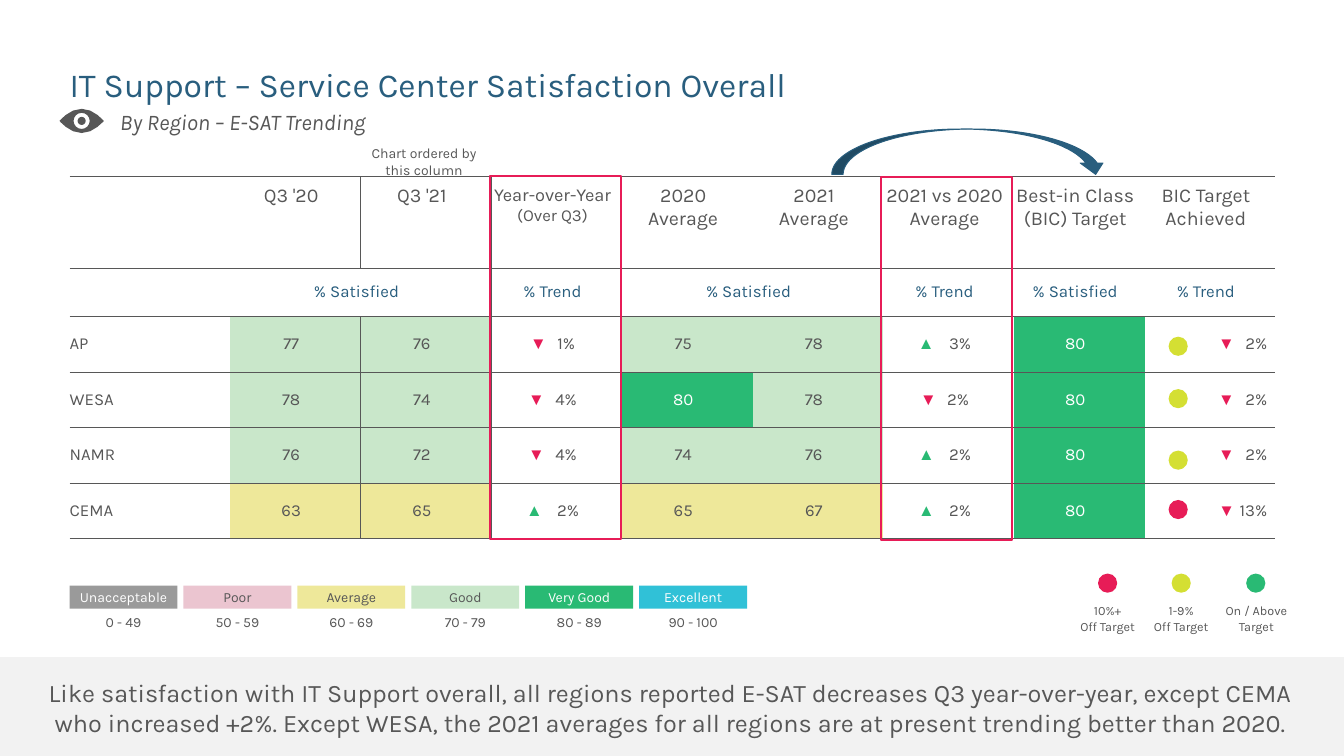
"""Build the regional service center satisfaction slide."""
from dataclasses import dataclass
from math import cos, pi, sin

from lxml import etree
from pptx import Presentation
from pptx.dml.color import RGBColor
from pptx.enum.shapes import MSO_SHAPE
from pptx.enum.text import MSO_ANCHOR, PP_ALIGN
from pptx.oxml.ns import qn
from pptx.shapes.autoshape import Shape
from pptx.slide import Slide
from pptx.table import Table, _Cell
from pptx.text.text import TextFrame, _Paragraph
from pptx.util import Inches, Pt

RECT, OVAL, ARROW = MSO_SHAPE.RECTANGLE, MSO_SHAPE.OVAL, MSO_SHAPE.CURVED_DOWN_ARROW
LEFT, CENTER, RIGHT = PP_ALIGN.LEFT, PP_ALIGN.CENTER, PP_ALIGN.RIGHT
TOP, MIDDLE = MSO_ANCHOR.TOP, MSO_ANCHOR.MIDDLE


@dataclass(frozen=True)
class Theme:
    font: str = "Karla"
    symbol_font: str = "Arial"
    ink: str = "575757"
    blue: str = "295E7E"
    white: str = "FFFFFF"
    panel: str = "F2F2F2"
    red: str = "E71C57"
    lime: str = "D4DF33"
    green: str = "29BA74"
    title: int = 24
    takeaway: int = 18
    subtitle: int = 16
    header: int = 14
    small_header: int = 13
    body: int = 12
    label: int = 10
    key: int = 9


@dataclass(frozen=True)
class Band:
    name: str
    low: int
    high: int
    fill: str
    ink: str = "575757"


@dataclass(frozen=True)
class Region:
    name: str
    quarters: tuple[int, int]
    quarter_trend: int
    averages: tuple[int, int]
    average_trend: int
    target: int
    target_gap: int
    dot_top: float


@dataclass(frozen=True)
class KeyItem:
    label: str
    color: str
    dot_left: float
    left: float
    width: float


T = Theme()
BANDS = (
    Band("Unacceptable", 0, 49, "9A9A9A", T.white),
    Band("Poor", 50, 59, "EBC5D0"),
    Band("Average", 60, 69, "EEE89A"),
    Band("Good", 70, 79, "C9E7CA"),
    Band("Very Good", 80, 89, T.green, T.white),
    Band("Excellent", 90, 100, "30C1D7", T.white),
)
REGIONS = (
    Region("AP", (77, 76), -1, (75, 78), 3, 80, -2, 3.34),
    Region("WESA", (78, 74), -4, (80, 78), -2, 80, -2, 3.86),
    Region("NAMR", (76, 72), -4, (74, 76), 2, 80, -2, 4.47),
    Region("CEMA", (63, 65), 2, (65, 67), 2, 80, -13, 4.96),
)
KEY = (
    KeyItem("10%+\nOff Target", T.red, 10.89, 10.58, 0.81),
    KeyItem("1-9%\nOff Target", T.lime, 11.62, 11.31, 0.81),
    KeyItem("On / Above Target", T.green, 12.36, 12.02, 0.88),
)
HEADERS = ("", "Q3 '20", "Q3 '21", "Year-over-Year\n(Over Q3)", "2020\nAverage", "2021\nAverage",
           "2021 vs 2020 Average", "Best-in Class (BIC) Target", "BIC Target\nAchieved")
MEASURES = ("", "% Satisfied", "", "% Trend", "% Satisfied", "", "% Trend", "% Satisfied", "% Trend")
TABLE_LEFT, TABLE_TOP, TABLE_WIDTH, TABLE_HEIGHT = 0.69, 1.75, 11.96, 3.6
NAME_WIDTH = 1.59
COLUMNS = (NAME_WIDTH,) + ((TABLE_WIDTH - NAME_WIDTH) / 8,) * 8
ROWS = (0.91, 0.48) + (0.55,) * 4
DOT = 0.19


def rgb(color: str) -> RGBColor:
    return RGBColor.from_string(color)


def style_paragraph(p: _Paragraph, size: float, color: str, align: PP_ALIGN) -> None:
    p.alignment = align
    for r in p.runs:
        r.font.name, r.font.size, r.font.color.rgb = T.font, Pt(size), rgb(color)


def write(tf: TextFrame, text: str, size: float, color: str = T.ink, align: PP_ALIGN = CENTER) -> None:
    tf.text = text
    tf.word_wrap = True
    for p in tf.paragraphs:
        style_paragraph(p, size, color, align)


def add_text(s: Slide, box: tuple[float, ...], text: str, size: float, color: str = T.ink,
             align: PP_ALIGN = CENTER) -> TextFrame:
    tf = s.shapes.add_textbox(*map(Inches, box)).text_frame
    write(tf, text, size, color, align)
    tf.vertical_anchor = MIDDLE
    return tf


def paint(sp: Shape, fill: str = "", line: str = "", width: float = 0.75) -> Shape:
    sp.shadow.inherit = False
    if fill:
        sp.fill.solid()
        sp.fill.fore_color.rgb = rgb(fill)
    else:
        sp.fill.background()
    if line:
        sp.line.color.rgb, sp.line.width = rgb(line), Pt(width)
    else:
        sp.line.fill.background()
    return sp


def add_shape(s: Slide, kind: MSO_SHAPE, box: tuple[float, ...], fill: str = "", line: str = "",
              width: float = 0.75) -> Shape:
    return paint(s.shapes.add_shape(kind, *map(Inches, box)), fill, line, width)


def add_eye(s: Slide) -> None:
    cx, cy = Inches(0.81), Inches(1.2)
    angles = [i * pi / 8 for i in range(16)]
    lens = [(cx - Inches(0.22) * cos(a), cy - Inches(0.12) * sin(a) * abs(sin(a))) for a in angles]
    rings = [[(cx + Inches(r) * cos(a), cy + Inches(r) * sin(a)) for a in angles] for r in (0.08, 0.04)]
    builder = s.shapes.build_freeform(*lens[0])
    builder.add_line_segments(lens[1:])
    for ring in rings:
        builder.move_to(*ring[0])
        builder.add_line_segments(ring[1:])
    paint(builder.convert_to_shape(), T.ink)


def set_borders(cell: _Cell, left: bool, right: bool) -> None:
    tc_pr = cell._tc.get_or_add_tcPr()
    edges = (("a:lnL", 0.5 * left), ("a:lnR", 0.5 * right), ("a:lnT", 0.25), ("a:lnB", 0.25))
    for i, (tag, width) in enumerate(edges):
        ln = etree.Element(qn(tag), w=str(Pt(width)))
        fill = etree.SubElement(ln, qn("a:solidFill" if width else "a:noFill"))
        if width:
            etree.SubElement(fill, qn("a:srgbClr"), val=T.ink)
        tc_pr.insert(i, ln)


def write_score(cell: _Cell, score: int) -> None:
    band = next(b for b in BANDS if b.low <= score <= b.high)
    write(cell.text_frame, str(score), T.body, band.ink)
    cell.fill.solid()
    cell.fill.fore_color.rgb = rgb(band.fill)


def write_trend(cell: _Cell, change: int, align: PP_ALIGN = CENTER) -> None:
    p = cell.text_frame.paragraphs[0]
    for text in ("▲ " if change > 0 else "▼ ", f"{abs(change)}%"):
        p.add_run().text = text
    style_paragraph(p, T.body, T.ink, align)
    mark = p.runs[0]
    mark.font.name = T.symbol_font
    mark.font.color.rgb = rgb(T.green if change > 0 else T.red)
    if abs(change) < 10:
        mark.font._element.set("spc", "350" if change > 0 else "210")


def fill_region(table: Table, row: int, region: Region) -> None:
    write(table.cell(row, 0).text_frame, region.name, T.body, align=LEFT)
    scores = zip((1, 2, 4, 5, 7), (*region.quarters, *region.averages, region.target))
    for col, score in scores:
        write_score(table.cell(row, col), score)
    write_trend(table.cell(row, 3), region.quarter_trend)
    write_trend(table.cell(row, 6), region.average_trend)
    write_trend(table.cell(row, 8), region.target_gap, RIGHT)


def add_score_table(s: Slide) -> None:
    box = (TABLE_LEFT, TABLE_TOP, TABLE_WIDTH, TABLE_HEIGHT)
    table = s.shapes.add_table(len(ROWS), len(COLUMNS), *map(Inches, box)).table
    table.first_row = table.horz_banding = False
    for column, width in zip(table.columns, COLUMNS):
        column.width = Inches(width)
    for i, height in enumerate(ROWS):
        table.rows[i].height = Inches(height)
        for j in range(len(COLUMNS)):
            cell = table.cell(i, j)
            cell.fill.background()
            cell.margin_left = 0
            cell.margin_right = cell.margin_top = cell.margin_bottom = Inches(0.08)
            cell.vertical_anchor = MIDDLE if i else TOP
            set_borders(cell, j in (2, 3), j in (1, 2))
    for j, (header, measure) in enumerate(zip(HEADERS, MEASURES)):
        write(table.cell(0, j).text_frame, header, T.header)
        write(table.cell(1, j).text_frame, measure, T.body, T.blue)
    for p, size in zip(table.cell(0, 3).text_frame.paragraphs, (T.small_header, T.body)):
        style_paragraph(p, size, T.ink, CENTER)
    for first in (1, 4):
        table.cell(1, first).merge(table.cell(1, first + 1))
    for row, region in enumerate(REGIONS, start=2):
        fill_region(table, row, region)


def main() -> None:
    prs = Presentation()
    prs.slide_width, prs.slide_height = Inches(13.33), Inches(7.5)
    s = prs.slides.add_slide(prs.slide_layouts[6])
    add_score_table(s)
    tf = add_text(s, (0.69, 0.68, 11.96, 0.36), "IT Support – Service Center Satisfaction Overall",
                  T.title, T.blue, LEFT)
    tf.margin_left = tf.margin_right = tf.margin_top = tf.margin_bottom = 0
    tf.vertical_anchor = TOP
    tf.paragraphs[0].line_spacing = 0.9
    tf = add_text(s, (1.09, 1.01, 6.45, 0.4), "By Region – E-SAT Trending", T.subtitle, align=LEFT)
    tf.paragraphs[0].runs[0].font.italic = True
    add_eye(s)
    add_text(s, (3.57, 1.46, 1.27, 0.28), "Chart ordered by this column", T.label)
    add_shape(s, RECT, (0, 6.52, 13.33, 0.98), T.panel)
    add_text(s, (0.24, 6.54, 12.82, 0.96),
             "Like satisfaction with IT Support overall, all regions reported E-SAT decreases Q3 "
             "year-over-year, except CEMA who increased +2%. Except WESA, the 2021 averages for all "
             "regions are at present trending better than 2020.", T.takeaway)
    for i, band in enumerate(BANDS):
        left = TABLE_LEFT + 1.13 * i
        sp = add_shape(s, RECT, (left, 5.81, 1.07, 0.23), band.fill)
        write(sp.text_frame, band.name, T.label, band.ink)
        add_text(s, (left, 6.06, 1.07, 0.23), f"{band.low} - {band.high}", T.label)
    for left, top in ((4.86, 1.75), (8.74, 1.76)):
        add_shape(s, RECT, (left, top, 1.3, TABLE_HEIGHT), line=T.red, width=1.5)
    add_shape(s, ARROW, (8.25, 1.28, 2.73, 0.45), T.blue, T.blue)
    for region in REGIONS:
        color = T.red if region.target_gap <= -10 else T.lime
        add_shape(s, OVAL, (11.59, region.dot_top, DOT, DOT), color)
    for item in KEY:
        add_shape(s, OVAL, (item.dot_left, 5.69, DOT, DOT), item.color)
        add_text(s, (item.left, 5.94, item.width, 0.39), item.label, T.key)
    prs.save("out.pptx")


if __name__ == "__main__":
    main()
